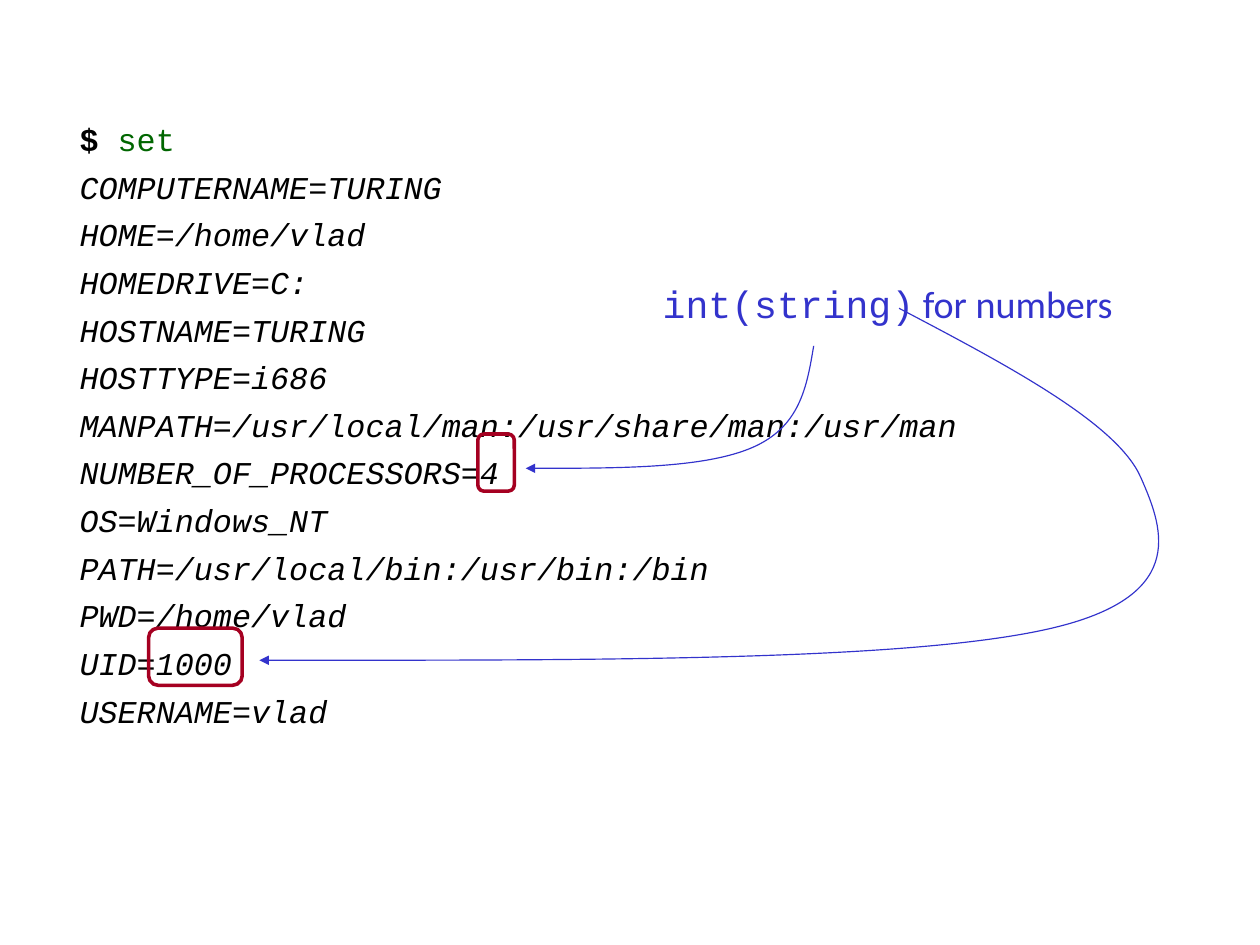
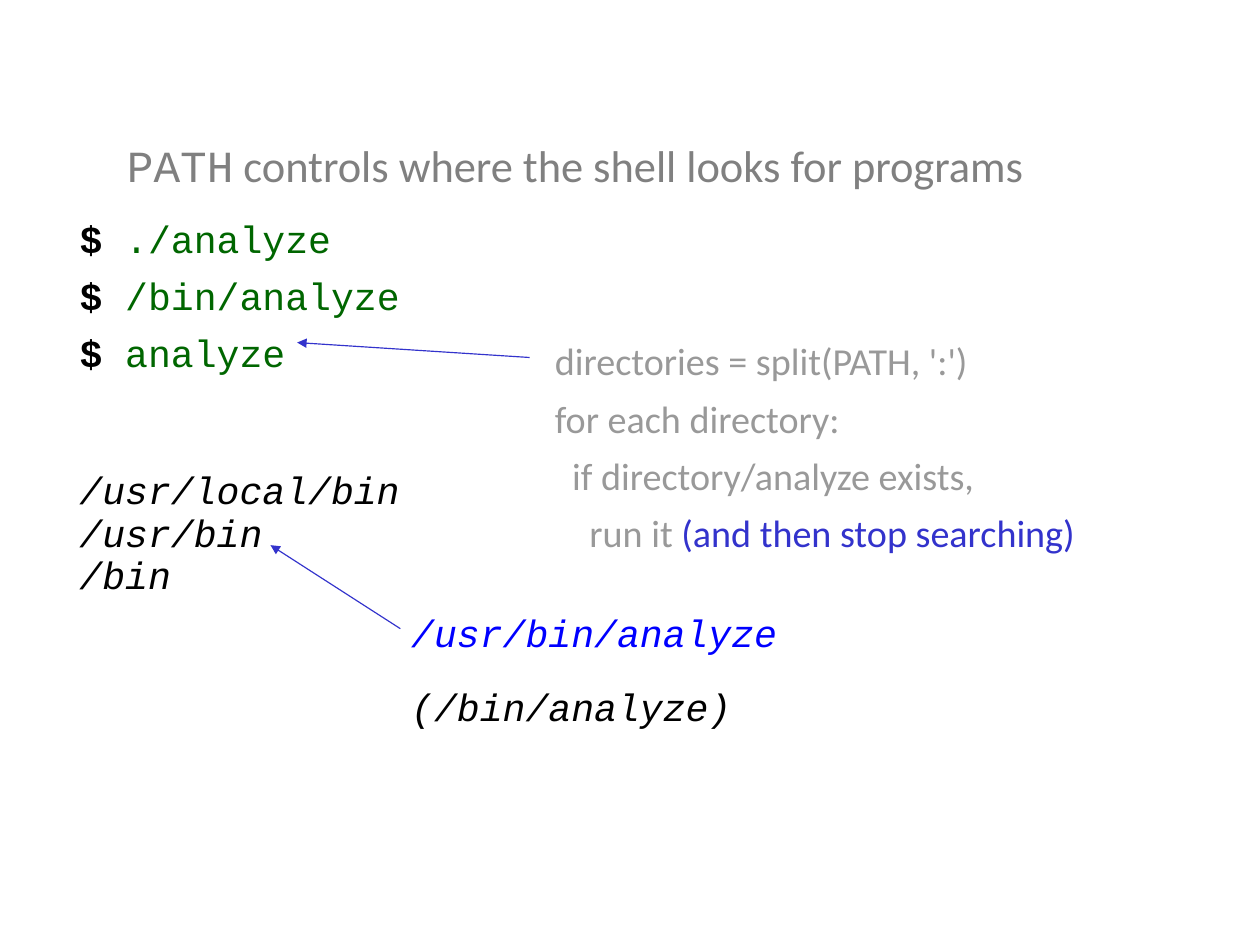
"""Build two slides on shell variables and the search path."""
import pptx
import pptx.dml.color
import pptx.enum.shapes
import pptx.oxml
import pptx.oxml.ns
import pptx.util

Pt = pptx.util.Pt
RGBColor = pptx.dml.color.RGBColor
qn = pptx.oxml.ns.qn

BLACK = RGBColor(0x00, 0x00, 0x00)
GREEN = RGBColor(0x00, 0x66, 0x00)
CRIMSON = RGBColor(0xA5, 0x00, 0x21)
INDIGO = RGBColor(0x33, 0x33, 0xCC)
BLUE = RGBColor(0x00, 0x00, 0xFF)
TITLE_GREY = RGBColor(0x80, 0x80, 0x80)
CODE_GREY = RGBColor(0x99, 0x99, 0x99)

SLIDE_SIZE = (793.75, 595.25)
MONO, SANS = "Courier New", "Calibri"
STYLES = {
    "prompt": (BLACK, {"name": MONO, "bold": True}),
    "command": (GREEN, {"name": MONO}),
    "output": (BLACK, {"name": MONO, "italic": True}),
    "found": (BLUE, {"name": MONO, "italic": True}),
    "title code": (TITLE_GREY, {"name": MONO}),
    "title": (TITLE_GREY, {"name": SANS}),
    "pseudocode": (CODE_GREY, {"name": SANS}),
    "note code": (INDIGO, {"name": MONO}),
    "note": (INDIGO, {"name": SANS}),
}


def command_line(command):
    return [("$ ", "prompt"), (command, "command")]


def single_runs(lines, style):
    return [[(line, style)] for line in lines]


VARIABLES = [
    "COMPUTERNAME=TURING", "HOME=/home/vlad", "HOMEDRIVE=C:", "HOSTNAME=TURING",
    "HOSTTYPE=i686", "MANPATH=/usr/local/man:/usr/share/man:/usr/man",
    "NUMBER_OF_PROCESSORS=4", "OS=Windows_NT", "PATH=/usr/local/bin:/usr/bin:/bin",
    "PWD=/home/vlad", "UID=1000", "USERNAME=vlad",
]
COMMANDS = ["./analyze", "/bin/analyze", "analyze"]
DIRECTORIES = ["/usr/local/bin", "/usr/bin", "/bin"]
PSEUDOCODE = ["directories = split(PATH, ':')", "for each directory:",
              "  if directory/analyze exists,"]

SLIDES = [
    {
        "texts": [
            {"box": (43, 66, 682.6, 431.3), "size": 20,
             "lines": [command_line("set")] + single_runs(VARIABLES, "output")},
            {"box": (410.4, 166, 299.5, 45.4),
             "lines": [[("int(string)", "note code"), (" for numbers", "note")]]},
        ],
        "frames": [(301, 273.4, 23, 36), (93.6, 395.7, 59, 36)],
        "curves": [
            [(512.6, 217.9), (508.3, 243.8), (504, 269), (473.8, 282),
             (443.5, 295), (387.4, 295), (331.2, 295)],
            [(566.4, 194.2), (635, 230.2), (704.2, 266.9), (718.8, 301),
             (733.7, 334.6), (748.8, 377.8), (655.9, 397.2),
             (563.8, 416.6), (363.6, 415.9), (163.4, 415.9)],
        ],
    },
    {
        "texts": [
            {"box": (72.9, 66.7, 585.4, 58.3), "size": 28, "spacing": 1.5,
             "lines": [[("PATH", "title code"),
                        (" controls where the shell looks for programs", "title")]]},
            {"box": (43, 125, 682.6, 190.8),
             "lines": [command_line(command) for command in COMMANDS]},
            {"box": (342.5, 202, 380.9, 118),
             "lines": single_runs(PSEUDOCODE, "pseudocode")
             + [[("    run it ", "pseudocode"), ("(and then stop searching)", "note")]]},
            {"box": (43, 293, 216, 90), "spacing": 0.93, "wrap": True,
             "lines": single_runs(DIRECTORIES, "output")},
            {"box": (252, 382.7, 244.8, 82.8), "spacing": 0.93, "wrap": True, "gap": 20,
             "lines": [[("/usr/bin/analyze", "found")], [("(/bin/analyze)", "output")]]},
        ],
        "arrows": [((333.7, 225.2), (187.2, 215.8)), ((252.2, 396), (170.4, 343.4))],
    },
]


def points(values):
    return [Pt(value) for value in values]


def add_text(slide, box, lines, size=24, spacing=1.25, wrap=False, gap=0):
    frame = slide.shapes.add_textbox(*points(box)).text_frame
    frame.word_wrap = wrap
    for index, runs in enumerate(lines):
        paragraph = frame.add_paragraph() if index else frame.paragraphs[0]
        paragraph.line_spacing = spacing
        if index and gap:
            paragraph.space_before = Pt(gap)
        for text, style in runs:
            run = paragraph.add_run()
            run.text = text
            color, formats = STYLES[style]
            for name, value in formats.items():
                setattr(run.font, name, value)
            run.font.size = Pt(size)
            run.font.color.rgb = color


def add_frame(slide, box):
    rounded = pptx.enum.shapes.MSO_SHAPE.ROUNDED_RECTANGLE
    shape = slide.shapes.add_shape(rounded, *points(box))
    shape.shadow.inherit = False
    shape.fill.background()
    shape.line.color.rgb = CRIMSON
    shape.line.width = Pt(2.25)


def style_arrow(shape):
    shape.line.color.rgb = INDIGO
    shape.line.width = Pt(0.75)
    shape.element.spPr.find(qn("a:ln")).append(pptx.oxml.parse_xml(
        f'<a:tailEnd {pptx.oxml.ns.nsdecls("a")} type="triangle"/>'))


def add_arrow(slide, start, end):
    straight = pptx.enum.shapes.MSO_CONNECTOR.STRAIGHT
    connector = slide.shapes.add_connector(straight, *points(start + end))
    style_arrow(connector)
    connector.element.spPr.append(pptx.oxml.parse_xml(
        f'<a:effectLst {pptx.oxml.ns.nsdecls("a")}/>'))


def add_curve(slide, knots):
    start, *controls = [points(knot) for knot in knots]
    builder = slide.shapes.build_freeform(*start)
    builder.add_line_segments(controls, close=False)
    shape = builder.convert_to_shape()
    segments = list(shape.element.iter(qn("a:lnTo")))
    for index in range(0, len(segments), 3):
        first, *others = segments[index:index + 3]
        bezier = first.makeelement(qn("a:cubicBezTo"))
        first.addprevious(bezier)
        for segment in (first, *others):
            bezier.append(segment[0])
            segment.getparent().remove(segment)
    shape.shadow.inherit = False
    shape.fill.background()
    style_arrow(shape)


def main():
    presentation = pptx.Presentation()
    presentation.slide_width, presentation.slide_height = points(SLIDE_SIZE)
    for content in SLIDES:
        slide = presentation.slides.add_slide(presentation.slide_layouts[6])
        for text in content["texts"]:
            add_text(slide, **text)
        for box in content.get("frames", []):
            add_frame(slide, box)
        for knots in content.get("curves", []):
            add_curve(slide, knots)
        for start, end in content.get("arrows", []):
            add_arrow(slide, start, end)
    presentation.save("out.pptx")


if __name__ == "__main__":
    main()
